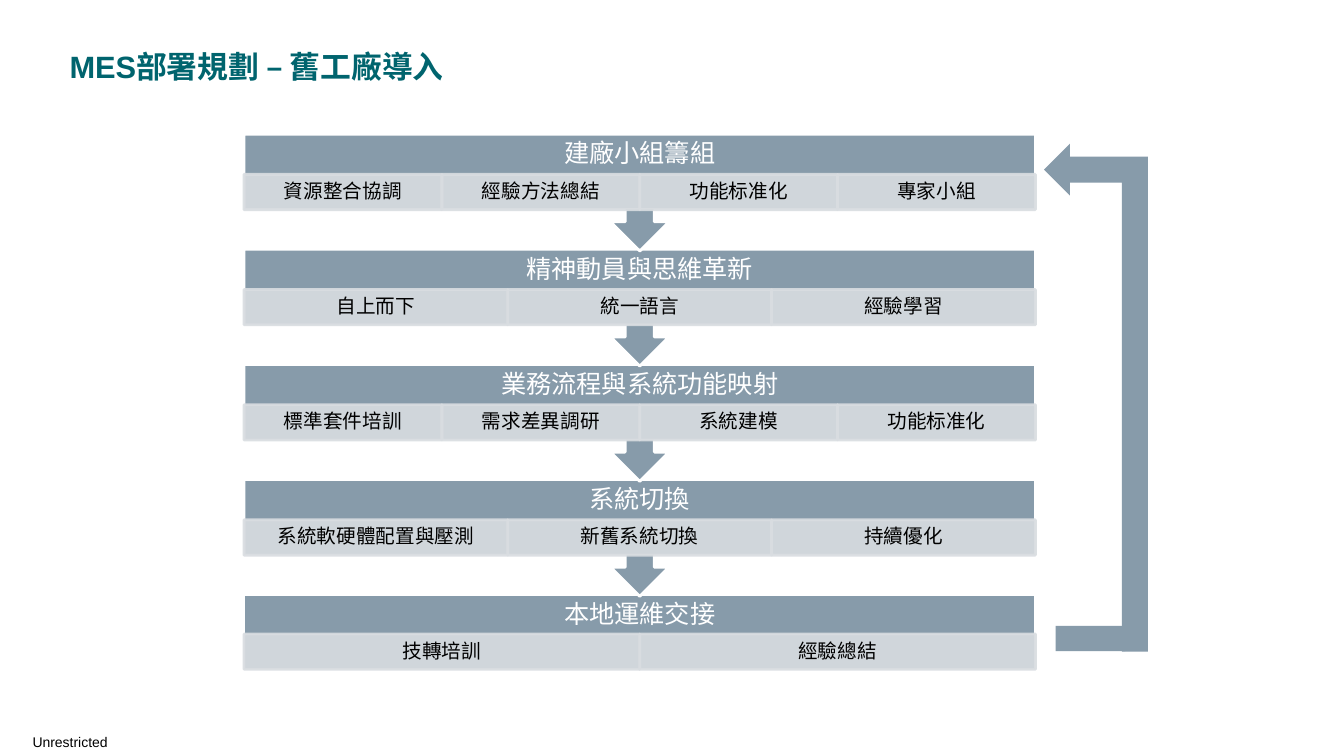
from dataclasses import dataclass

from lxml import etree
from pptx import Presentation
from pptx import util as u
from pptx.dml.color import RGBColor
from pptx.enum import shapes, text
from pptx.oxml.ns import qn


@dataclass(frozen=True)
class Theme:
    font: str = "Arial"
    teal: str = "00646E"
    slate: str = "879BAA"
    pale: str = "D9DDE1"
    white: str = "FFFFFF"
    black: str = "000000"
    title_size: int = 22
    stage_size: int = 18
    task_size: int = 14
    footer_size: int = 10
    line_width: int = 2


THEME = Theme()
STAGES = [
    ("建廠小組籌組", ["資源整合協調", "經驗方法總結", "功能标准化", "專家小組"]),
    ("精神動員與思維革新", ["自上而下", "統一語言", "經驗學習"]),
    ("業務流程與系統功能映射", ["標準套件培訓", "需求差異調研", "系統建模", "功能标准化"]),
    ("系統切換", ["系統軟硬體配置與壓測", "新舊系統切換", "持續優化"]),
    ("本地運維交接", ["技轉培訓", "經驗總結"]),
]
LEFT, WIDTH = 2.42, 7.85
FIRST_TOP, LAST_TOP = 1.33, 5.9
PITCH = (LAST_TOP - FIRST_TOP) / (len(STAGES) - 1)


def write(shape, words, *, size, color, bold=False, align=text.PP_ALIGN.CENTER,
          anchor=text.MSO_ANCHOR.MIDDLE, insets=(0, 0, 0, 0), spacing=None):
    """Fill a shape with one formatted paragraph; insets run left, top, right, bottom."""
    tf = shape.text_frame
    tf.word_wrap = True
    tf.auto_size = text.MSO_AUTO_SIZE.NONE
    tf.vertical_anchor = anchor
    tf.margin_left, tf.margin_top, tf.margin_right, tf.margin_bottom = map(u.Inches, insets)
    p = tf.paragraphs[0]
    p.alignment = align
    if spacing:
        p.line_spacing = spacing
    r = p.add_run()
    r.text = words
    r.font.name = THEME.font
    r.font.size = u.Pt(size)
    r.font.bold = bold
    r.font.color.rgb = RGBColor.from_string(color)


def add_box(slide, kind, box, *, fill, line=None, rotation=0, adjustments=(), opacity=None):
    s = slide.shapes.add_shape(kind, *map(u.Inches, box))
    s.shadow.inherit = False
    s.rotation = rotation
    for i, value in enumerate(adjustments):
        s.adjustments[i] = value
    s.fill.solid()
    s.fill.fore_color.rgb = RGBColor.from_string(fill)
    if line:
        s.line.color.rgb = RGBColor.from_string(line)
        s.line.width = u.Pt(THEME.line_width)
    else:
        s.line.fill.background()
    if opacity:
        for color in s.element.spPr.iter(qn("a:srgbClr")):
            etree.SubElement(color, qn("a:alpha"), val=str(opacity * 1000))
    return s


def add_text(slide, box, words, **style):
    write(slide.shapes.add_textbox(*map(u.Inches, box)), words, **style)


def add_title(slide, words):
    title = slide.shapes.title
    title.left, title.top, title.width, title.height = map(u.Inches, (0, 0, 13.33, 1.57))
    write(title, words, size=THEME.title_size, color=THEME.teal, bold=True,
          align=text.PP_ALIGN.LEFT, anchor=text.MSO_ANCHOR.TOP,
          insets=(0.69, 0.47, 3.7, 0.26))


def add_stage(slide, top, name, tasks, is_last):
    """Draw a stage band with its task cells; all but the last point down."""
    if is_last:
        add_box(slide, shapes.MSO_SHAPE.RECTANGLE, (LEFT, top, WIDTH, 0.75),
                fill=THEME.slate, line=THEME.white)
    else:
        add_box(slide, shapes.MSO_SHAPE.UP_ARROW_CALLOUT, (LEFT, top, WIDTH, 1.16),
                fill=THEME.slate, line=THEME.white, rotation=180,
                adjustments=(0.25, 0.25, 0.25, 0.65))
    add_text(slide, (LEFT, top, WIDTH, 0.41), name, size=THEME.stage_size,
             color=THEME.white, insets=(0.14,) * 4, spacing=0.9)
    cell_width = WIDTH / len(tasks)
    cell_top = top + (0.39 if is_last else 0.4)
    for i, task in enumerate(tasks):
        cell = add_box(slide, shapes.MSO_SHAPE.RECTANGLE,
                       (LEFT + i * cell_width, cell_top, cell_width, 0.35),
                       fill=THEME.pale, line=THEME.pale, opacity=90)
        write(cell, task, size=THEME.task_size, color=THEME.black,
              insets=(0.11, 0.02, 0.11, 0.02), spacing=0.9)


def add_return_arrow(slide):
    add_box(slide, shapes.MSO_SHAPE.BENT_UP_ARROW, (8.35, 3.43, 5.04, 1.03),
            fill=THEME.slate, rotation=270, adjustments=(0.25, 0.25, 0.25))
    add_box(slide, shapes.MSO_SHAPE.RECTANGLE, (10.47, 6.21, 0.69, 0.25), fill=THEME.slate)


def main():
    prs = Presentation()
    prs.slide_width, prs.slide_height = u.Inches(13.33), u.Inches(7.5)
    slide = prs.slides.add_slide(prs.slide_layouts[5])
    add_title(slide, "MES部署規劃 – 舊工廠導入")
    add_text(slide, (0, 7.28, 1.39, 0.17), "Unrestricted",
             size=THEME.footer_size, color=THEME.black)
    last = len(STAGES) - 1
    # Bottom stage first, so that each arrow tip lies over the next band.
    for i in range(last, -1, -1):
        name, tasks = STAGES[i]
        add_stage(slide, FIRST_TOP + i * PITCH, name, tasks, i == last)
    add_return_arrow(slide)
    prs.save("out.pptx")


if __name__ == "__main__":
    main()
